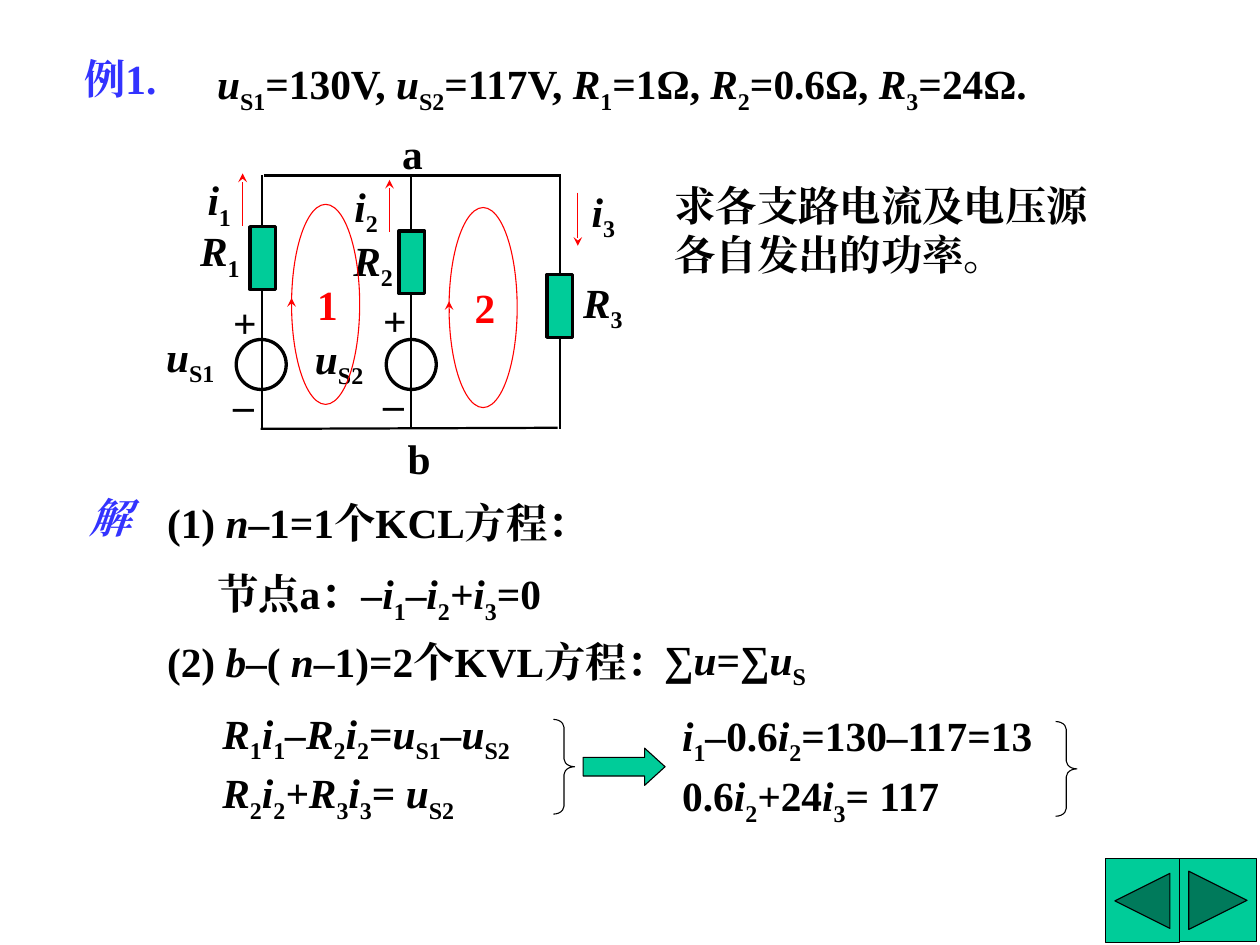
from dataclasses import dataclass

from lxml import etree
from pptx import Presentation
from pptx.dml.color import RGBColor as RGB
from pptx.enum.shapes import MSO_CONNECTOR as LINK, MSO_SHAPE as SHAPE
from pptx.enum.text import MSO_AUTO_SIZE as FIT
from pptx.oxml.ns import qn
from pptx.util import Inches, Pt


@dataclass(frozen=True)
class Theme:
    ink: RGB = RGB(0x00, 0x00, 0x00)
    heading: RGB = RGB(0x33, 0x33, 0xFF)
    mark: RGB = RGB(0xFF, 0x00, 0x00)
    body: RGB = RGB(0x00, 0xCC, 0x99)
    font: str = "Times New Roman"
    size: float = 28
    thin: float = 0.75
    wire: float = 1.5
    thick: float = 2.25


THEME = Theme()
SLIDE_SIZE = 11.84, 8.88
ITALIC, SUBSCRIPT, DIVIDER = "/", "_", "|"

HEADINGS = [
    ("例1.", 0.67, 0.44, 0.99),
    ("/解", 0.72, 4.56, 0.81),
]
STATEMENTS = [
    ("/u|_S1|=130V, |/u|_S2|=117V, |/R|_1|=1Ω, |/R|_2|=0.6Ω, |/R|_3|=24Ω.", 1.92, 0.49, 8.49),
    ("求各支路电流及电压源各自发出的功率。", 6.22, 1.63, 4.46),
    ("(1) |/n|–1=1个KCL方程：", 1.45, 4.61, 4.47),
    ("节点a：|/–i|_1|–|/i|_2|/+i|_3|=0", 1.92, 5.28, 4.64),
    ("(2) |/b|–( |/n|–1)=2个KVL方程：", 1.45, 5.92, 5.2),
    ("∑|/u|=∑|/u|_S", 6.12, 5.9, 1.82),
    ("/R|_1|/i|_1|/–R|_2|/i|_2|=|/u|_S1|/–u|_S2", 1.97, 6.59, 3.55),
    ("/R|_2|/i|_2|/+R|_3|/i|_3|= |/u|_S2", 1.97, 7.15, 3.06),
    ("/i|_1|/–|0.6|/i|_2|=130–117=13", 6.29, 6.61, 4.02),
    ("0.6|/i|_2|/+|24|/i|_3|= 117", 6.29, 7.18, 3.06),
]
CIRCUIT_LABELS = [
    ("/i|_1", 1.83, 1.58, 0.58), ("/i|_2", 3.21, 1.64, 0.58), ("/i|_3", 5.44, 1.69, 0.77),
    ("/R|_1", 1.76, 2.06, 0.76), ("/R|_2", 3.2, 2.15, 0.82), ("/R|_3", 5.36, 2.54, 0.77),
    ("/u|_S1", 1.44, 3.05, 0.85), ("/u|_S2", 2.84, 3.07, 1.04),
    ("+", 2.07, 2.73, 0.44), ("–", 2.07, 3.5, 0.46),
    ("+", 3.48, 2.71, 0.44), ("–", 3.48, 3.49, 0.46),
]
NODES = [("a", 3.66, 1.14, 0.43), ("b", 3.71, 4.01, 0.45)]
WIRES = [
    (2.46, 4.02, 2.46, 1.64), (3.86, 4.03, 3.86, 1.66), (5.26, 1.66, 5.26, 4.03),
    (2.48, 1.65, 5.27, 1.65), (2.45, 4.03, 5.24, 4.02),
]
CURRENTS = [(2.28, 2.12, 2.28, 1.63), (3.66, 2.18, 3.66, 1.69), (5.43, 1.81, 5.43, 2.31)]
RESISTORS = [(2.35, 2.13), (3.75, 2.17), (5.14, 2.58)]
SOURCES = [(2.22, 3.19), (3.63, 3.19)]
LOOPS = [("1", 2.74, 1.92), ("2", 4.22, 1.95)]
BRACES = [(5.2, 6.76), (9.92, 6.78)]
BUTTONS = [
    (SHAPE.ACTION_BUTTON_FORWARD_OR_NEXT, 11.08, 8.07, 0.73, 0.78),
    (SHAPE.ACTION_BUTTON_BACK_OR_PREVIOUS, 10.39, 8.07, 0.69, 0.79),
]


def add_text(slide, wording, left, top, width, color=THEME.ink, wrap=True):
    box = slide.shapes.add_textbox(Inches(left), Inches(top), Inches(width), Inches(0.59))
    frame = box.text_frame
    frame.word_wrap = wrap
    frame.auto_size = FIT.SHAPE_TO_FIT_TEXT
    frame.margin_left = frame.margin_right = Inches(0.12)
    frame.margin_top = frame.margin_bottom = Inches(0.06)
    for piece in wording.split(DIVIDER):
        run = frame.paragraphs[0].add_run()
        run.text = piece.lstrip(ITALIC + SUBSCRIPT)
        font = run.font
        font.name, font.size, font.bold = THEME.font, Pt(THEME.size), True
        font.italic = piece.startswith(ITALIC)
        font.color.rgb = color
        properties = run._r.get_or_add_rPr()
        etree.SubElement(properties, qn("a:ea")).set("typeface", THEME.font)
        if piece.startswith(SUBSCRIPT):
            properties.set("baseline", "-25000")


def add_symbol(slide, kind, left, top, width, height, weight, fill=None, color=THEME.ink, adjust=()):
    symbol = slide.shapes.add_shape(kind, Inches(left), Inches(top), Inches(width), Inches(height))
    symbol.shadow.inherit = False
    if fill is None:
        symbol.fill.background()
    else:
        symbol.fill.solid()
        symbol.fill.fore_color.rgb = fill
    symbol.line.color.rgb = color
    symbol.line.width = Pt(weight)
    for index, ratio in enumerate(adjust):
        symbol.adjustments[index] = ratio


def add_line(slide, x1, y1, x2, y2, weight, color=THEME.ink, arrow=False):
    link = slide.shapes.add_connector(LINK.STRAIGHT, Inches(x1), Inches(y1), Inches(x2), Inches(y2))
    link.line.color.rgb = color
    link.line.width = Pt(weight)
    if arrow:
        etree.SubElement(link.line._get_or_add_ln(), qn("a:tailEnd")).set("type", "stealth")
    etree.SubElement(link._element.spPr, qn("a:effectLst"))


def draw_circuit(slide):
    for ends in WIRES:
        add_line(slide, *ends, THEME.wire)
    for ends in CURRENTS:
        add_line(slide, *ends, THEME.thin, THEME.mark, arrow=True)
    for left, top in RESISTORS:
        add_symbol(slide, SHAPE.RECTANGLE, left, top, 0.24, 0.59, THEME.thick, THEME.body)
    for left, top in SOURCES:
        add_symbol(slide, SHAPE.OVAL, left, top, 0.47, 0.47, THEME.thick)
    for label in CIRCUIT_LABELS:
        add_text(slide, *label)
    for node in NODES:
        add_text(slide, *node, wrap=False)
    for number, left, top in LOOPS:
        add_symbol(slide, SHAPE.OVAL, left, top, 0.64, 1.88, THEME.thin, color=THEME.mark)
        add_text(slide, number, left + 0.12, top + 0.64, 0.44, THEME.mark)
        add_line(slide, left, top + 0.99, left, top + 0.88, THEME.thin, THEME.mark, arrow=True)


def main():
    deck = Presentation()
    deck.slide_width, deck.slide_height = map(Inches, SLIDE_SIZE)
    slide = deck.slides.add_slide(deck.slide_layouts[6])
    for heading in HEADINGS:
        add_text(slide, *heading, color=THEME.heading)
    draw_circuit(slide)
    for statement in STATEMENTS:
        add_text(slide, *statement)
    for left, top in BRACES:
        add_symbol(slide, SHAPE.RIGHT_BRACE, left, top, 0.2, 0.89, THEME.thin, adjust=(0.37, 0.5))
    add_symbol(slide, SHAPE.RIGHT_ARROW, 5.48, 7.03, 0.77, 0.35, THEME.thin, THEME.body, adjust=(0.5, 0.55))
    for kind, left, top, width, height in BUTTONS:
        add_symbol(slide, kind, left, top, width, height, THEME.thin, THEME.body)
    deck.save("out.pptx")


if __name__ == "__main__":
    main()
